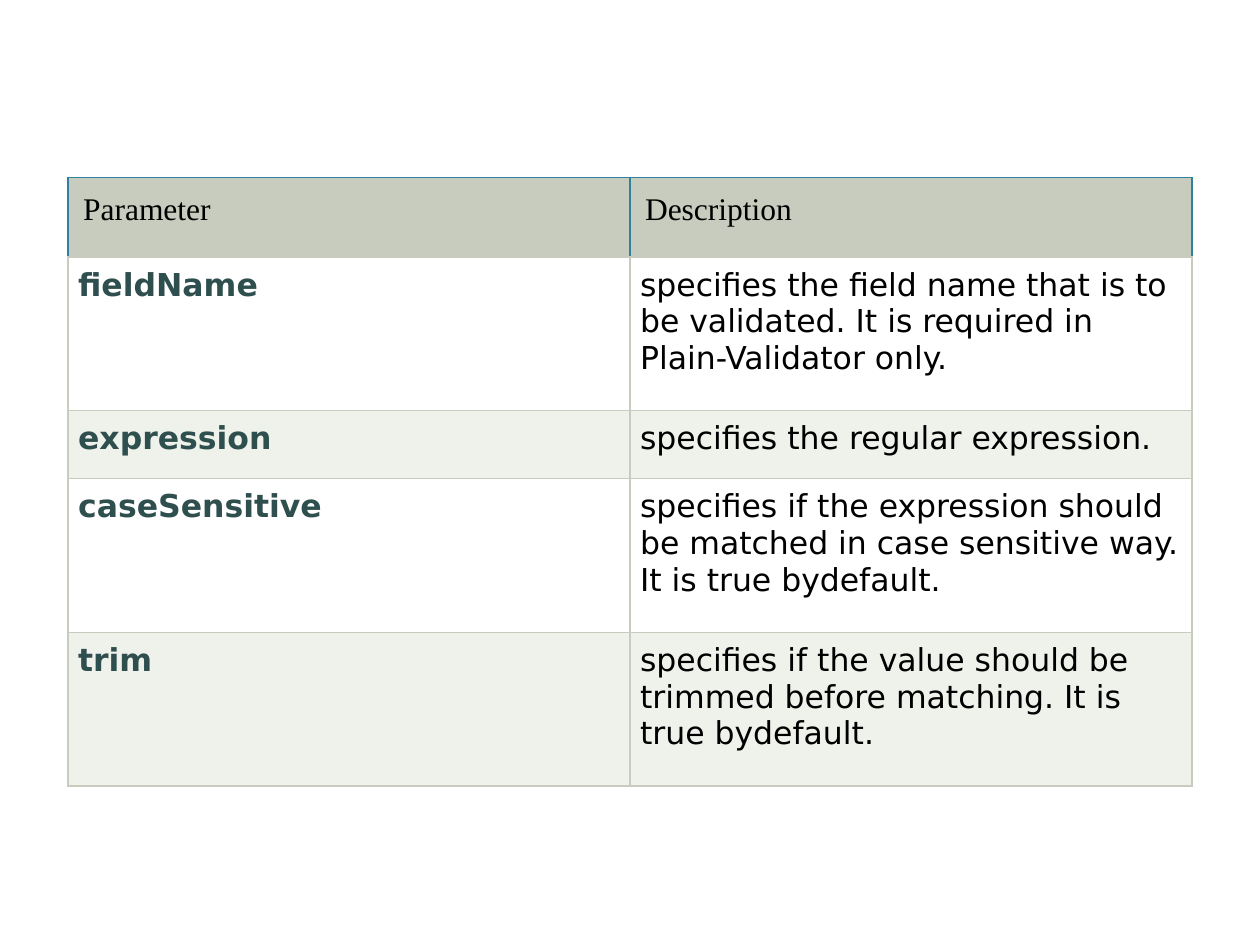
from dataclasses import dataclass

from lxml import etree
from pptx import Presentation
from pptx.dml.color import RGBColor
from pptx.oxml.ns import qn
from pptx.util import Inches, Pt

BLANK = 6


@dataclass(frozen=True)
class Theme:
    head_font: str = "Times New Roman"
    body_font: str = "DejaVu Sans"
    size: float = 18
    ink: str = "000000"
    name: str = "2F4F4F"
    head: str = "C7CCBE"
    bands: tuple = ("FFFFFF", "EFF1EB")
    rule: str = "C7CCBE"
    edge: str = "30819C"
    line: float = 0.75
    head_pad: float = 0.12
    body_pad: float = 0.08


class Deck:
    def __init__(self, theme):
        self.theme = theme
        self.prs = Presentation()
        self.prs.slide_width = Inches(10)
        self.prs.slide_height = Inches(7.5)
        self.slide = self.prs.slides.add_slide(self.prs.slide_layouts[BLANK])

    def border(self, cell, side, color):
        props = cell._tc.get_or_add_tcPr()
        line = etree.SubElement(props, qn(f"a:ln{side}"),
                                w=str(Pt(self.theme.line)))
        fill = etree.SubElement(line, qn("a:solidFill"))
        etree.SubElement(fill, qn("a:srgbClr"), val=color)

    def cell(self, cell, text, fill, font, color, bold, pad, edge):
        # Borders come before the fill in the cell properties
        for side in "LRTB":
            self.border(cell, side, self.theme.rule if side == "B" else edge)
        cell.fill.solid()
        cell.fill.fore_color.rgb = RGBColor.from_string(fill)
        cell.margin_left = cell.margin_right = Inches(pad)
        cell.margin_top = cell.margin_bottom = Inches(pad)
        cell.text = text
        style = cell.text_frame.paragraphs[0].font
        style.name = font
        style.size = Pt(self.theme.size)
        style.bold = bold
        style.color.rgb = RGBColor.from_string(color)

    def table(self, rows, left, top, widths, heights):
        look = self.theme
        grid = self.slide.shapes.add_table(
            len(rows), len(widths), Inches(left), Inches(top),
            Inches(sum(widths)), Inches(sum(heights))).table
        for col, width in zip(grid.columns, widths):
            col.width = Inches(width)
        for r, (row, height) in enumerate(zip(rows, heights)):
            grid.rows[r].height = Inches(height)
            for c, text in enumerate(row):
                if r == 0:
                    self.cell(grid.cell(r, c), text, look.head,
                              look.head_font, look.ink, False,
                              look.head_pad, look.edge)
                else:
                    self.cell(grid.cell(r, c), text, look.bands[(r - 1) % 2],
                              look.body_font, look.ink if c else look.name,
                              c == 0, look.body_pad, look.rule)

    def save(self):
        self.prs.save("out.pptx")


# Header row, then one row per parameter
ROWS = [
    ("Parameter", "Description"),
    ("fieldName", "specifies the field name that is to be validated. "
                  "It is required in Plain-Validator only."),
    ("expression", "specifies the regular expression."),
    ("caseSensitive", "specifies if the expression should be matched in "
                      "case sensitive way. It is true bydefault."),
    ("trim", "specifies if the value should be trimmed before matching. "
             "It is true bydefault."),
]


def main():
    deck = Deck(Theme())
    tall = 1.22
    deck.table(ROWS, 0.54, 1.41, [4.46] * 2, [0.63, tall, 0.54, tall, tall])
    deck.save()


if __name__ == "__main__":
    main()
